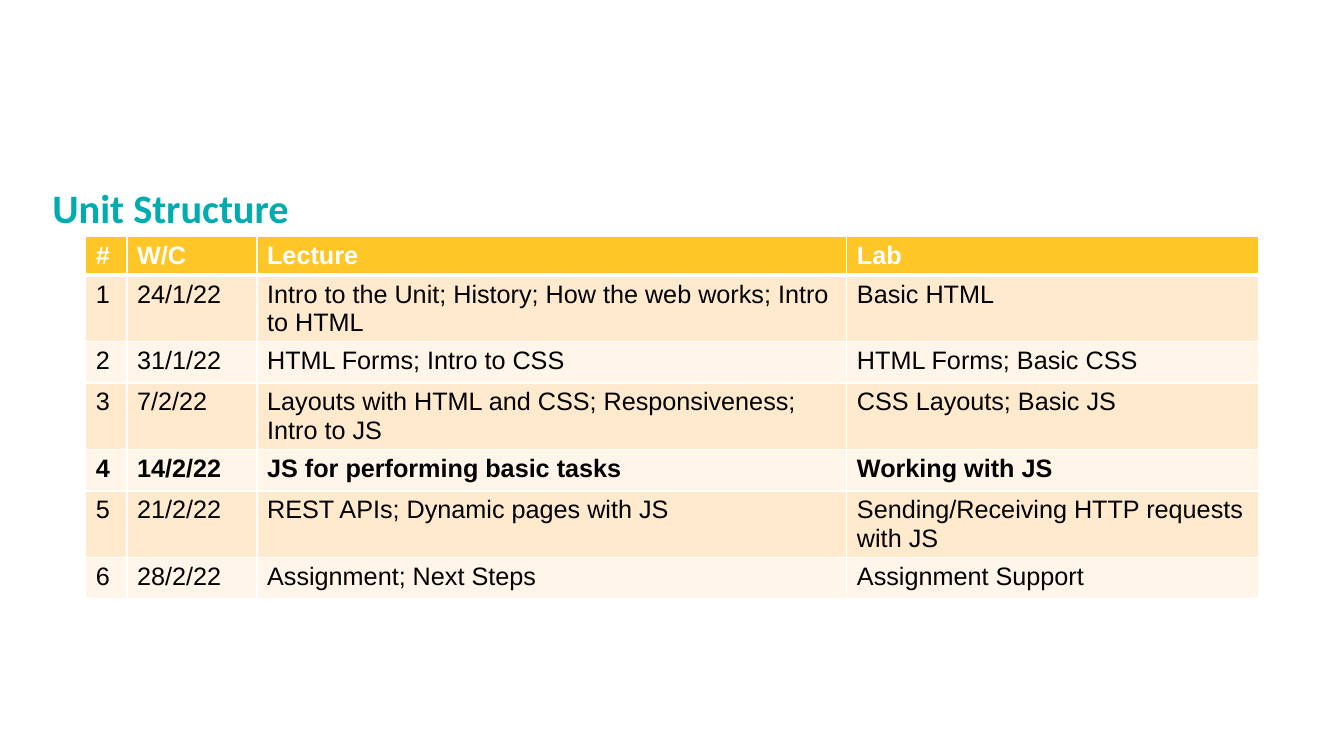
from lxml.etree import SubElement
from pptx import Presentation
from pptx.dml.color import RGBColor
from pptx.enum.text import MSO_ANCHOR, MSO_AUTO_SIZE, PP_ALIGN
from pptx.oxml.ns import qn
from pptx.util import Inches, Pt

COLS = [0.41, 1.29, 5.85, 4.08]
HEAD_H, ROW_H = 0.37, 0.41
BOLD_ROWS = (0, 4)
ROWS = [
    ("#", "W/C", "Lecture", "Lab"),
    ("1", "24/1/22", "Intro to the Unit; History; How the web works; Intro to HTML",
     "Basic HTML"),
    ("2", "31/1/22", "HTML Forms; Intro to CSS", "HTML Forms; Basic CSS"),
    ("3", "7/2/22", "Layouts with HTML and CSS; Responsiveness; Intro to JS",
     "CSS Layouts; Basic JS"),
    ("4", "14/2/22", "JS for performing basic tasks", "Working with JS"),
    ("5", "21/2/22", "REST APIs; Dynamic pages with JS",
     "Sending/Receiving HTTP requests with JS"),
    ("6", "28/2/22", "Assignment; Next Steps", "Assignment Support"),
]


def color(code):
    return RGBColor.from_string(code)


def style(para, font, size, code, bold):
    for run in para.runs:
        run.font.name = font
        run.font.size = Pt(size)
        run.font.bold = bold
        run.font.color.rgb = color(code)


def add_title(slide, text):
    title = slide.shapes.title
    title.left, title.top = Inches(0.42), Inches(1.81)
    title.width, title.height = Inches(11.5), Inches(0.55)
    frame = title.text_frame
    frame.text = text
    frame.auto_size = MSO_AUTO_SIZE.NONE
    frame.word_wrap = True
    frame.vertical_anchor = MSO_ANCHOR.MIDDLE
    para = frame.paragraphs[0]
    para.alignment = PP_ALIGN.LEFT
    para.line_spacing = 0.9
    style(para, "Calibri", 28.8, "00ACAF", True)


def add_edges(cell, widths):
    props = cell._tc.get_or_add_tcPr()
    for side, width in zip("LRTB", widths):
        line = SubElement(props, qn(f"a:ln{side}"), w=str(Pt(width)))
        fill = SubElement(line, qn("a:solidFill"))
        SubElement(fill, qn("a:srgbClr"), val="FFFFFF")


def fill_cell(cell, text, row):
    # The heavy rule lies between the header and the first week
    add_edges(cell, (1, 1, 3 if row == 1 else 1, 3 if row == 0 else 1))
    back = "FFC627" if row == 0 else ("FFF5E8", "FFEACD")[row % 2]
    cell.fill.solid()
    cell.fill.fore_color.rgb = color(back)
    cell.text_frame.text = text
    ink = "FFFFFF" if row == 0 else "000000"
    style(cell.text_frame.paragraphs[0], "Arial", 18, ink, row in BOLD_ROWS)


def add_plan(slide):
    height = HEAD_H + ROW_H * (len(ROWS) - 1)
    table = slide.shapes.add_table(
        len(ROWS), len(COLS), Inches(0.85), Inches(2.35),
        Inches(sum(COLS)), Inches(height)).table
    for col, width in zip(table.columns, COLS):
        col.width = Inches(width)
    for row, texts in enumerate(ROWS):
        table.rows[row].height = Inches(ROW_H if row else HEAD_H)
        for col, text in enumerate(texts):
            fill_cell(table.cell(row, col), text, row)


def main():
    deck = Presentation()
    deck.slide_width, deck.slide_height = Inches(13.33), Inches(7.5)
    # Title Only layout
    slide = deck.slides.add_slide(deck.slide_layouts[5])
    add_title(slide, "Unit Structure")
    add_plan(slide)
    deck.save("out.pptx")


if __name__ == "__main__":
    main()
